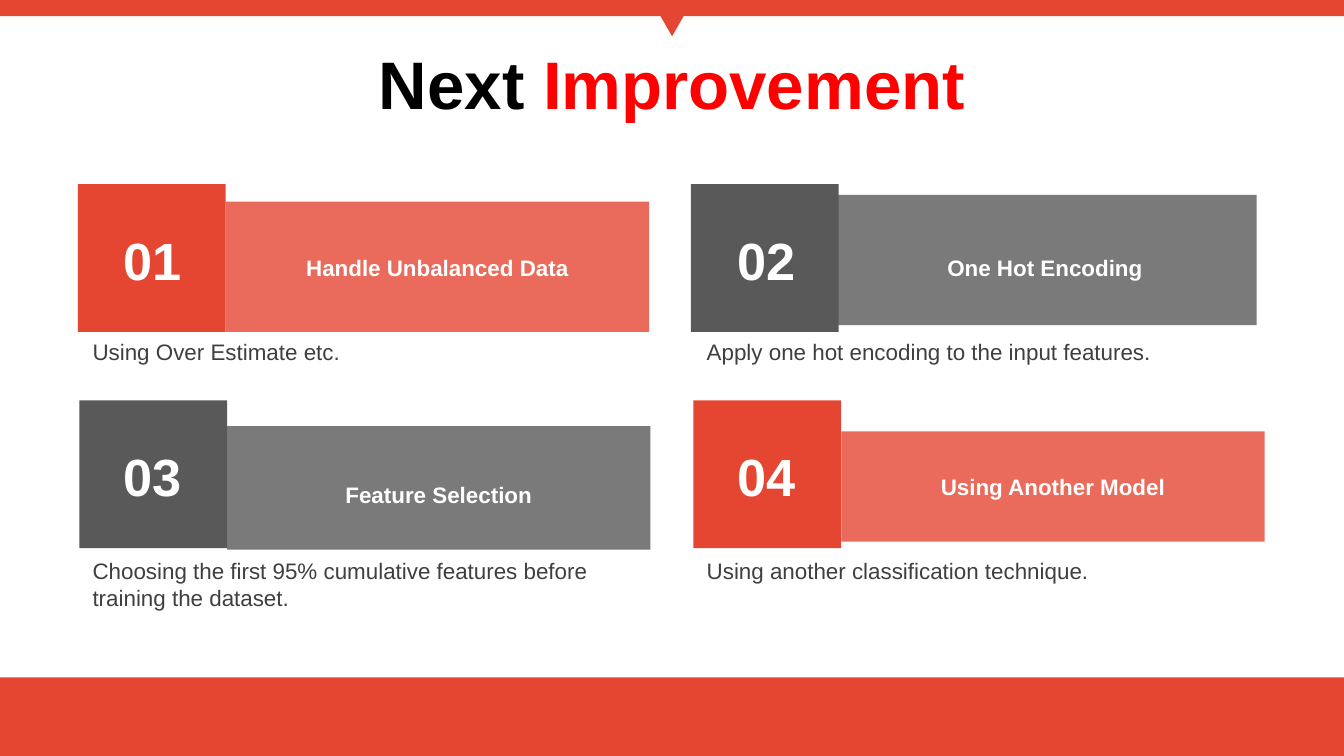
import pptx
import pptx.util
import pptx.dml.color
import pptx.enum.shapes
import pptx.enum.text
import pptx.oxml.ns
from lxml import etree

Inches = pptx.util.Inches
RGBColor = pptx.dml.color.RGBColor
MSO_SHAPE = pptx.enum.shapes.MSO_SHAPE
PP_ALIGN = pptx.enum.text.PP_ALIGN

RED = RGBColor(0xE5, 0x46, 0x32)
GREY = RGBColor(0x59, 0x59, 0x59)
WHITE = RGBColor(0xFF, 0xFF, 0xFF)
BLACK = RGBColor(0, 0, 0)
ACCENT = RGBColor(0xFF, 0, 0)
BODY = RGBColor(0x3F, 0x3F, 0x3F)

prs = pptx.Presentation()
prs.slide_width = Inches(10)
prs.slide_height = Inches(10 * 9 / 16)
slide = prs.slides.add_slide(prs.slide_layouts[5])


def add_block(left, top, width, height, color, preset=MSO_SHAPE.RECTANGLE, alpha=None):
    """Add a borderless shape; alpha is its opacity in percent."""
    block = slide.shapes.add_shape(
        preset, Inches(left), Inches(top), Inches(width), Inches(height))
    block.shadow.inherit = False
    block.line.fill.background()
    block.fill.solid()
    block.fill.fore_color.rgb = color
    if alpha is not None:
        fill_color = block.element.spPr.find(".//" + pptx.oxml.ns.qn("a:srgbClr"))
        etree.SubElement(fill_color, pptx.oxml.ns.qn("a:alpha"), val=str(alpha * 1000))
    return block


def add_label(text, left, top, width, height, size, color, bold=False, align=PP_ALIGN.LEFT):
    frame = slide.shapes.add_textbox(
        Inches(left), Inches(top), Inches(width), Inches(height)).text_frame
    frame.word_wrap = True
    frame.text = text
    paragraph = frame.paragraphs[0]
    paragraph.alignment = align
    font = paragraph.runs[0].font
    font.name = "Arial"
    font.size = pptx.util.Pt(size)
    font.bold = bold
    font.color.rgb = color


# Frame of the slide
add_block(0, 5.04, 10, 0.59, RED)
add_block(0, 0, 10, 0.12, RED)
pointer = add_block(5 - 0.31 / 2, 0, 0.31, 0.27, RED, MSO_SHAPE.ISOSCELES_TRIANGLE)
pointer.rotation = 180

# Title
title = slide.shapes.title
title.left, title.top = Inches(0), Inches(0.13)
title.width, title.height = Inches(10), Inches(0.97)
title.text_frame.auto_size = pptx.enum.text.MSO_AUTO_SIZE.NONE
title.text_frame.vertical_anchor = pptx.enum.text.MSO_ANCHOR.MIDDLE
heading = title.text_frame.paragraphs[0]
heading.alignment = PP_ALIGN.CENTER
for words, color in (("Next ", BLACK), ("Improvement", ACCENT)):
    run = heading.add_run()
    run.text = words
    run.font.name = "Arial"
    run.font.size = pptx.util.Pt(36)
    run.font.bold = True
    run.font.color.rgb = color

# Four improvements:
# name, description, color, square left, bar (left, top, height), name top
improvements = [
    ("Handle Unbalanced Data", "Using Over Estimate etc.",
     RED, 0.58, (1.68, 1.5, 0.97), 1.84),
    ("One Hot Encoding", "Apply one hot encoding to the input features.",
     GREY, 5.14, (6.2, 1.45, 0.97), 1.84),
    ("Feature Selection",
     "Choosing the first 95% cumulative features before training the dataset.",
     GREY, 0.59, (1.69, 3.17, 0.92), 3.53),
    ("Using Another Model", "Using another classification technique.",
     RED, 5.16, (6.26, 3.21, 0.82), 3.47),
]
for index, (name, description, color, square_left, bar, name_top) in enumerate(improvements):
    row, column = divmod(index, 2)
    square_top = 1.37 + 1.61 * row
    text_left = 0.59 + 4.57 * column
    bar_left, bar_top, bar_height = bar

    add_block(square_left, square_top, 1.1, 1.1, color)
    add_label(f"{index + 1:02}", text_left + 0.23, square_top + 0.28, 0.64, 0.57,
              28, WHITE, bold=True)
    add_block(bar_left, bar_top, 3.15, bar_height, color, alpha=80)
    add_label(name, bar_left + 0.22, name_top, 2.71, 0.3,
              12, WHITE, bold=True, align=PP_ALIGN.CENTER)
    add_label(description, text_left, 2.47 + 1.63 * row, 4.25, 0.5, 12, BODY)

prs.save("out.pptx")
